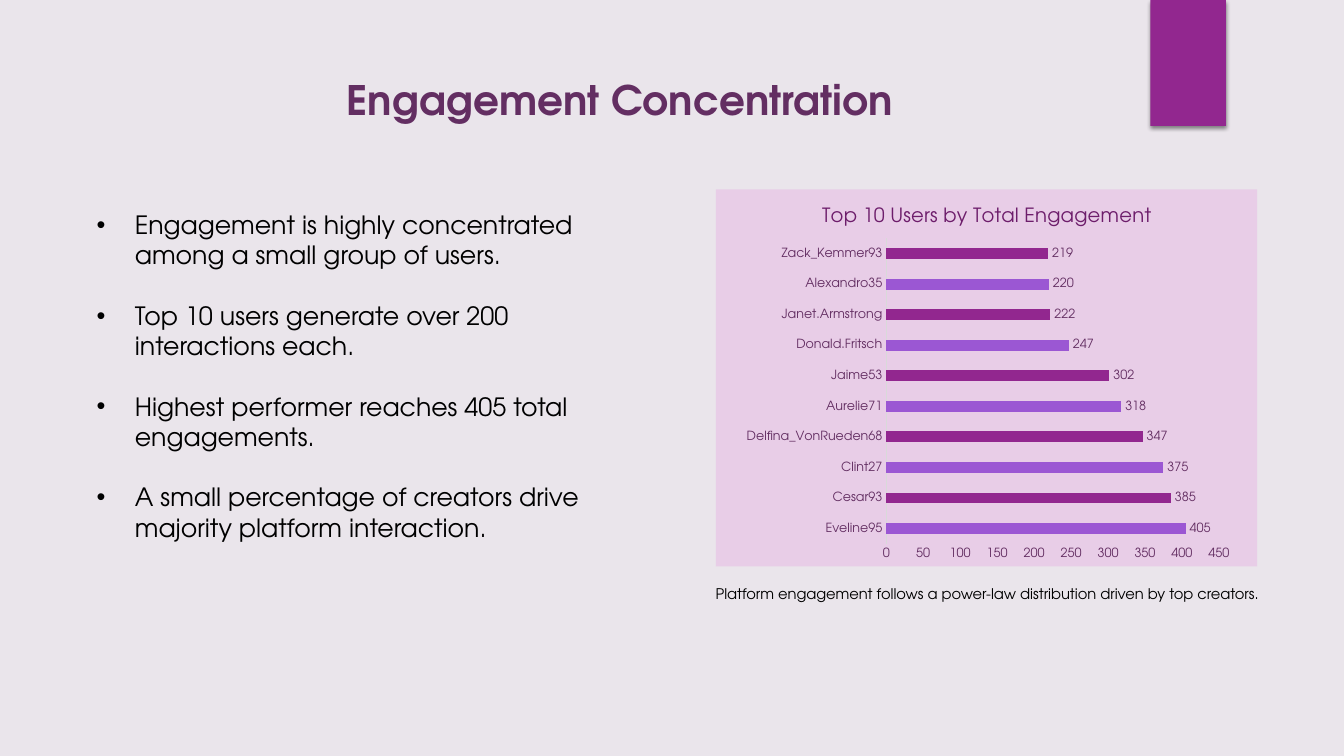
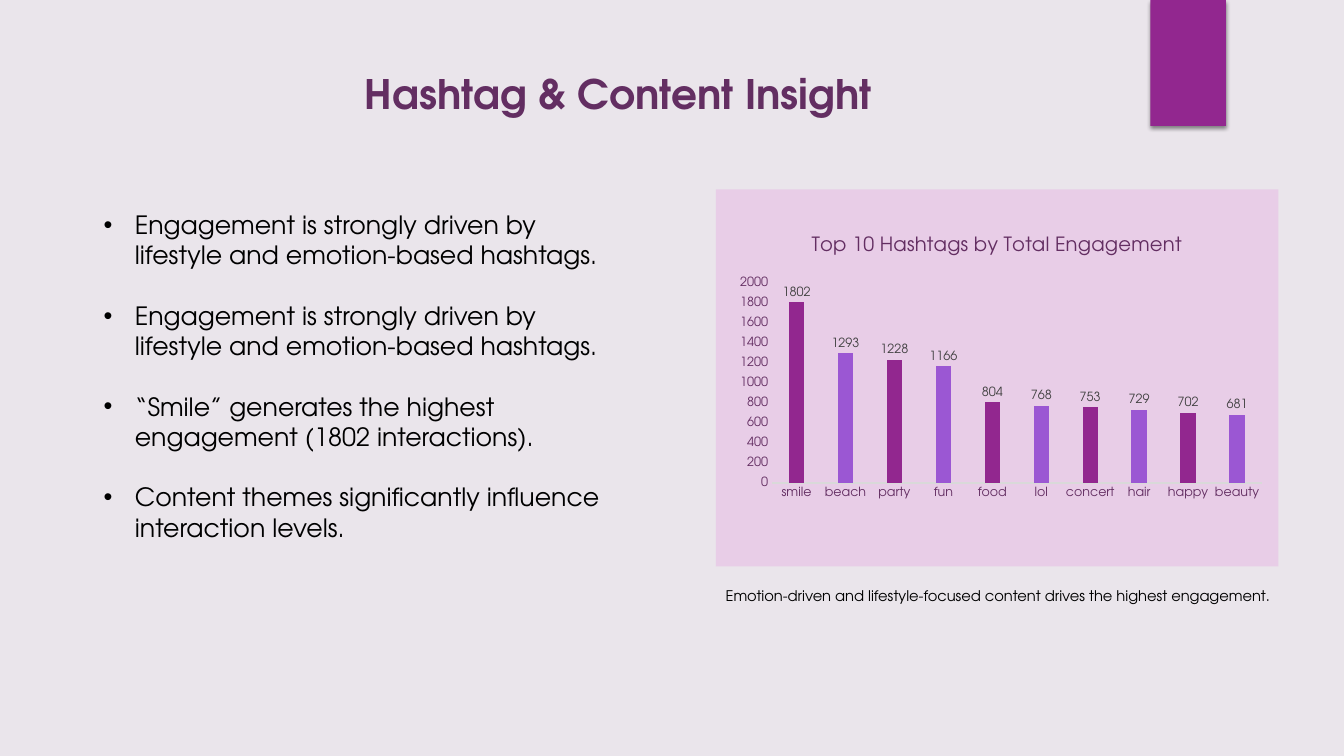
from dataclasses import dataclass

from lxml.etree import SubElement as Sub
from pptx import Presentation
from pptx.chart.data import CategoryChartData as ChartData
from pptx.dml.color import RGBColor
from pptx.enum.chart import XL_CHART_TYPE as Kind
from pptx.enum.chart import XL_LABEL_POSITION as Spot
from pptx.enum.chart import XL_TICK_MARK as Tick
from pptx.enum.shapes import MSO_SHAPE as Form
from pptx.enum.text import MSO_ANCHOR as Anchor
from pptx.enum.text import PP_ALIGN as Align
from pptx.oxml import parse_xml
from pptx.oxml.ns import nsdecls, qn
from pptx.util import Inches, Pt

FONT = "TeX Gyre Adventor"
PAPER = RGBColor(0xEA, 0xE5, 0xEB)
PANEL = RGBColor(0xE8, 0xCD, 0xE7)
PURPLE = RGBColor(0x92, 0x27, 0x8F)
VIOLET = RGBColor(0x9B, 0x57, 0xD3)
PLUM = RGBColor(0x63, 0x2E, 0x62)
DEEP = RGBColor(0x6D, 0x1D, 0x6B)
GRAY = RGBColor(0x40, 0x40, 0x40)
PALE = RGBColor(0xD9, 0xD9, 0xD9)
BLACK = RGBColor(0, 0, 0)

Box = tuple[float, float, float, float]


@dataclass
class Graph:
    kind: Kind
    box: Box
    plot: Box  # inner plot area, as shares of the chart
    title: str
    title_ink: RGBColor
    label_ink: RGBColor
    data: dict[str, int]
    odd: int  # remainder of the violet bars
    gap: int
    lap: int
    top: int
    step: int


@dataclass
class Page:
    title: str
    title_box: Box
    panel: Box
    graph: Graph
    points: list[str]
    points_box: Box
    indent: float
    note: str
    note_box: Box


def place(box: Box) -> list[Inches]:
    return [Inches(n) for n in box]


def style(font, size: float, ink: RGBColor, bold: bool = False) -> None:
    font.name, font.size, font.bold = FONT, Pt(size), bold
    font.color.rgb = ink


def add_run(para, text: str, size: float, ink: RGBColor, bold: bool = False) -> None:
    run = para.add_run()
    run.text = text
    style(run.font, size, ink, bold)


def add_block(slide, box: Box, fill: RGBColor):
    block = slide.shapes.add_shape(Form.RECTANGLE, *place(box))
    block.shadow.inherit = False
    block.fill.solid()
    block.fill.fore_color.rgb = fill
    block.line.fill.background()
    return block


def add_tab(slide) -> None:
    tab = add_block(slide, (11.41, 0, 0.75, 1.25), PURPLE)
    glow = tab.element.spPr.find(qn("a:effectLst"))
    shade = Sub(glow, qn("a:outerShdw"), blurRad=str(Pt(3)), dist=str(Pt(2)),
                dir="5400000", algn="ctr", rotWithShape="0")
    ink = Sub(shade, qn("a:srgbClr"), val="000000")
    Sub(ink, qn("a:alpha"), val="45000")


def add_title(slide, text: str, box: Box) -> None:
    title = slide.shapes.title
    title.left, title.top, title.width, title.height = place(box)
    frame = title.text_frame
    frame.vertical_anchor = Anchor.TOP
    para = frame.paragraphs[0]
    para.alignment = Align.LEFT
    add_run(para, text, 29, PLUM, True)


def add_frame(slide, box: Box):
    frame = slide.shapes.add_textbox(*place(box)).text_frame
    frame.word_wrap = True
    return frame


def add_points(slide, page: Page) -> None:
    frame = add_frame(slide, page.points_box)
    for i, text in enumerate(page.points):
        para = frame.add_paragraph() if i else frame.paragraphs[0]
        if i:
            para.space_before = Pt(21.6)
        props = para._p.get_or_add_pPr()
        props.set("marL", str(Inches(page.indent)))
        props.set("indent", str(-Inches(page.indent)))
        Sub(props, qn("a:buFont"), typeface="Arial")
        Sub(props, qn("a:buChar"), char="•")
        add_run(para, text, 18, BLACK)


def set_plot(chart, plot: Box) -> None:
    area = chart.element.find(".//" + qn("c:plotArea"))
    for old in area.findall(qn("c:layout")):
        area.remove(old)
    parts = "".join(f'<c:{key} val="{val}"/>' for key, val in zip("xywh", plot))
    area.insert(0, parse_xml(
        f'<c:layout {nsdecls("c")}><c:manualLayout><c:layoutTarget val="inner"/>'
        f'<c:xMode val="edge"/><c:yMode val="edge"/>{parts}'
        "</c:manualLayout></c:layout>"))


def add_graph(slide, graph: Graph) -> None:
    data = ChartData()
    data.categories = list(graph.data)
    data.add_series("Series 1", list(graph.data.values()))
    chart = slide.shapes.add_chart(graph.kind, *place(graph.box), data).chart
    style(chart.font, 10, BLACK)
    chart.has_legend = False
    chart.has_title = True
    add_run(chart.chart_title.text_frame.paragraphs[0], graph.title, 14, graph.title_ink)
    set_plot(chart, graph.plot)

    # Axes
    names, scale = chart.category_axis, chart.value_axis
    for axis in (names, scale):
        axis.major_tick_mark = axis.minor_tick_mark = Tick.NONE
        axis.has_major_gridlines = False
        style(axis.tick_labels.font, 9, PLUM)
    names.format.line.color.rgb = PALE
    names.format.line.width = Pt(0.75)
    scale.format.line.fill.background()
    scale.minimum_scale, scale.maximum_scale = 0, graph.top
    scale.major_unit = graph.step

    # Bars and labels
    plot = chart.plots[0]
    plot.vary_by_categories = False
    plot.gap_width, plot.overlap = graph.gap, graph.lap
    bars = plot.series[0]
    bars.format.fill.solid()
    bars.format.fill.fore_color.rgb = PURPLE
    for i in range(graph.odd, len(graph.data), 2):
        fill = bars.points[i].format.fill
        fill.solid()
        fill.fore_color.rgb = VIOLET
    labels = bars.data_labels
    labels.show_value = True
    labels.position = Spot.OUTSIDE_END
    style(labels.font, 9, graph.label_ink)


def add_page(deck, page: Page) -> None:
    slide = deck.slides.add_slide(deck.slide_layouts[5])
    add_tab(slide)
    add_title(slide, page.title, page.title_box)
    add_block(slide, page.panel, PANEL)
    add_graph(slide, page.graph)
    add_points(slide, page)
    note = add_frame(slide, page.note_box)
    add_run(note.paragraphs[0], page.note, 10.5, BLACK)


USERS = Graph(
    Kind.BAR_CLUSTERED, (7.29, 1.88, 5, 3.74), (0.3, 0.13, 0.66, 0.81),
    "Top 10 Users by Total Engagement", DEEP, PLUM,
    {"Eveline95": 405, "Cesar93": 385, "Clint27": 375, "Delfina_VonRueden68": 347,
     "Aurelie71": 318, "Jaime53": 302, "Donald.Fritsch": 247, "Janet.Armstrong": 222,
     "Alexandro35": 220, "Zack_Kemmer93": 219},
    odd=0, gap=182, lap=0, top=450, step=50)

TAGS = Graph(
    Kind.COLUMN_CLUSTERED, (7.1, 2.17, 5.58, 3.16), (0.1, 0.2, 0.87, 0.63),
    "Top 10 Hashtags by Total Engagement", PLUM, GRAY,
    {"smile": 1802, "beach": 1293, "party": 1228, "fun": 1166, "food": 804,
     "lol": 768, "concert": 753, "hair": 729, "happy": 702, "beauty": 681},
    odd=1, gap=219, lap=-27, top=2000, step=200)

PAGES = [
    Page("Engagement Concentration", (3.34, 0.69, 8.8, 0.56),
         (7.1, 1.88, 5.37, 3.74), USERS,
         ["Engagement is highly concentrated among a small group of users.",
          "Top 10 users generate over 200 interactions each.",
          "Highest performer reaches 405 total engagements.",
          "A small percentage of creators drive majority platform interaction."],
         (0.86, 2.03, 5.56, 3.43), 0.38,
         "Platform engagement follows a power-law distribution driven by top creators.",
         (7, 5.75, 5.76, 0.28)),
    Page("Hashtag & Content Insight", (3.52, 0.63, 9.16, 0.59),
         (7.1, 1.88, 5.58, 3.74), TAGS,
         ["Engagement is strongly driven by lifestyle and emotion-based hashtags.",
          "Engagement is strongly driven by lifestyle and emotion-based hashtags.",
          "“Smile” generates the highest engagement (1802 interactions).",
          "Content themes significantly influence interaction levels."],
         (0.93, 2.03, 5.3, 3.43), 0.31,
         "Emotion-driven and lifestyle-focused content drives the highest engagement.",
         (7.1, 5.77, 5.76, 0.28)),
]


def main() -> None:
    deck = Presentation()
    deck.slide_width, deck.slide_height = Inches(13.33), Inches(7.5)
    back = deck.slide_master.background.fill
    back.solid()
    back.fore_color.rgb = PAPER
    for page in PAGES:
        add_page(deck, page)
    deck.save("out.pptx")


if __name__ == "__main__":
    main()
